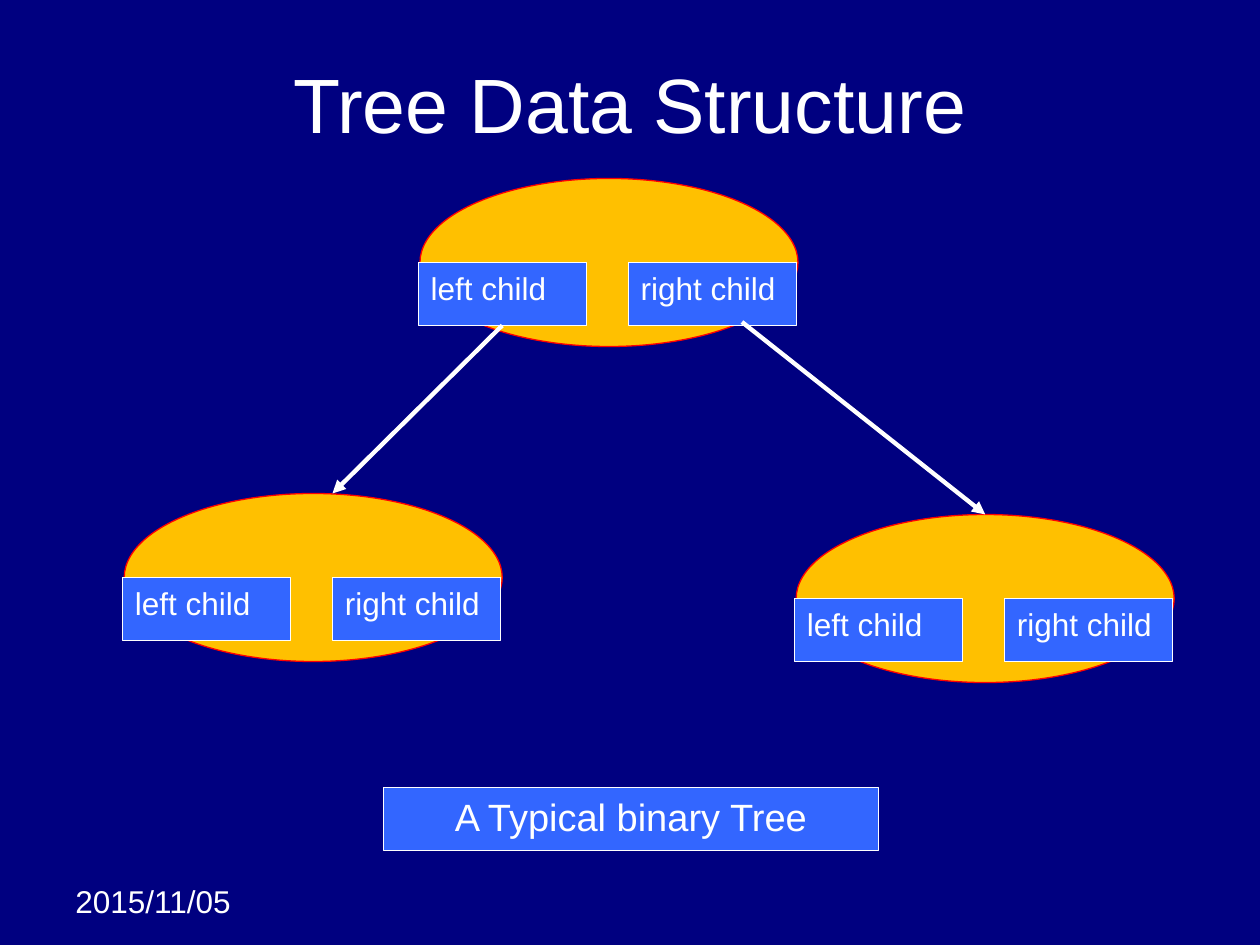
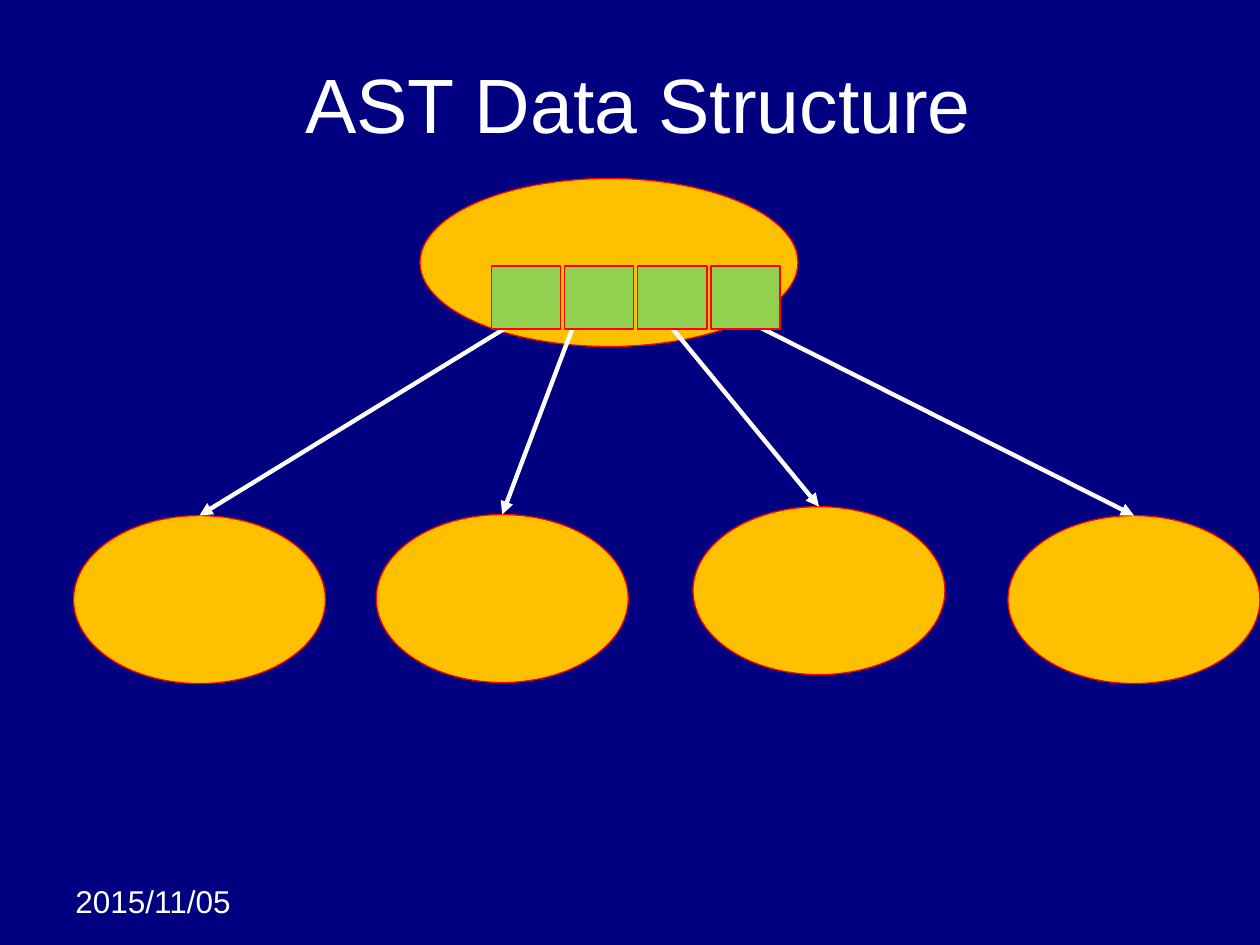
from dataclasses import dataclass

from lxml import etree
from pptx import Presentation
from pptx import util as u
from pptx.dml.color import RGBColor
from pptx.enum import shapes, text
from pptx.oxml import ns

Pt = u.Pt


@dataclass(frozen=True)
class Theme:
    font: str = "Arial"
    background: str = "000080"
    ink: str = "FFFFFF"
    node: str = "FFC000"
    edge: str = "FF0000"
    label: str = "3366FF"
    slot: str = "92D050"
    title_size: float = 44
    body_size: float = 18
    caption_size: float = 21.7
    outline: float = 0.75
    arrow: float = 2.5


class Deck:
    def __init__(self, theme):
        self.theme = theme
        self.prs = Presentation()
        self.prs.slide_width, self.prs.slide_height = Pt(720), Pt(540)
        fill = self.prs.slide_master.background.fill
        fill.solid()
        fill.fore_color.rgb = RGBColor.from_string(theme.background)
        self.s = None

    def slide(self, title, date):
        self.s = self.prs.slides.add_slide(self.prs.slide_layouts[5])
        sp = self.s.shapes.title
        sp.left, sp.top, sp.width, sp.height = Pt(36), Pt(21.6), Pt(648), Pt(74)
        sp.text_frame.vertical_anchor = text.MSO_ANCHOR.MIDDLE
        self.set_text(sp, title, self.theme.title_size, text.PP_ALIGN.CENTER)
        self.date(date)

    def date(self, value):
        sp = self.s.shapes.add_textbox(Pt(36), Pt(500.4), Pt(114), Pt(29))
        sp.text_frame.word_wrap = True
        self.set_text(sp, value, self.theme.body_size)

    def set_text(self, sp, value, size, align=text.PP_ALIGN.LEFT):
        tf = sp.text_frame
        tf.text = value
        p = tf.paragraphs[0]
        p.alignment = align
        r = p.runs[0]
        r.font.name, r.font.size = self.theme.font, Pt(size)
        r.font.color.rgb = RGBColor.from_string(self.theme.ink)

    def shape(self, kind, x, y, w, h, fill, line):
        sp = self.s.shapes.add_shape(kind, Pt(x), Pt(y), Pt(w), Pt(h))
        sp.shadow.inherit = False
        sp.fill.solid()
        sp.fill.fore_color.rgb = RGBColor.from_string(fill)
        sp.line.color.rgb = RGBColor.from_string(line)
        sp.line.width = Pt(self.theme.outline)
        return sp

    def node(self, x, y, w=216):
        self.shape(shapes.MSO_SHAPE.OVAL, x, y, w, 96, self.theme.node, self.theme.edge)

    def label(self, value, x, y, w=96, size=None, align=text.PP_ALIGN.LEFT):
        sp = self.shape(shapes.MSO_SHAPE.RECTANGLE, x, y, w, 36,
                        self.theme.label, self.theme.ink)
        sp.text_frame.vertical_anchor = text.MSO_ANCHOR.TOP
        self.set_text(sp, value, size or self.theme.body_size, align)

    def slot(self, x, y):
        self.shape(shapes.MSO_SHAPE.RECTANGLE, x, y, 39.6, 36,
                   self.theme.slot, self.theme.edge)

    def binary_node(self, x, y):
        self.node(x, y)
        for i, side in enumerate(("left child", "right child")):
            self.label(side, x - 1 + 120 * i, y + 48)

    def arrow(self, x1, y1, x2, y2):
        c = self.s.shapes.add_connector(shapes.MSO_CONNECTOR.STRAIGHT,
                                        Pt(x1), Pt(y1), Pt(x2), Pt(y2))
        c.line.color.rgb = RGBColor.from_string(self.theme.ink)
        c.line.width = Pt(self.theme.arrow)
        props = c.element.spPr
        etree.SubElement(props.find(ns.qn("a:ln")), ns.qn("a:tailEnd"), type="triangle")
        etree.SubElement(props, ns.qn("a:effectLst"))


def binary_tree(deck, date, root):
    deck.slide("Tree Data Structure", date)
    for x, y in (root, (71, 282), (455, 294)):
        deck.binary_node(x, y)
    deck.arrow(287, 186, 190, 282)
    deck.arrow(424, 184, 563, 294)
    deck.label("A Typical binary Tree", 219, 450, 283,
               deck.theme.caption_size, text.PP_ALIGN.CENTER)


def syntax_tree(deck, date, root):
    deck.slide(" AST Data Structure", date)
    deck.node(*root)
    child_width = 144
    children = ((42, 294.6), (215, 294), (396, 289.5), (576, 294.6))
    starts = ((301, 180), (330, 180), (384.5, 188), (432, 186))
    for (x, y), start in zip(children, starts):
        deck.node(x, y, child_width)
        deck.arrow(*start, x + child_width / 2, y)
    for i in range(len(children)):
        deck.slot(280.8 + 41.8 * i, 152)


def main():
    deck = Deck(Theme())
    date, root = "2015/11/05", (240, 102)
    binary_tree(deck, date, root)
    syntax_tree(deck, date, root)
    deck.prs.save("out.pptx")


if __name__ == "__main__":
    main()
